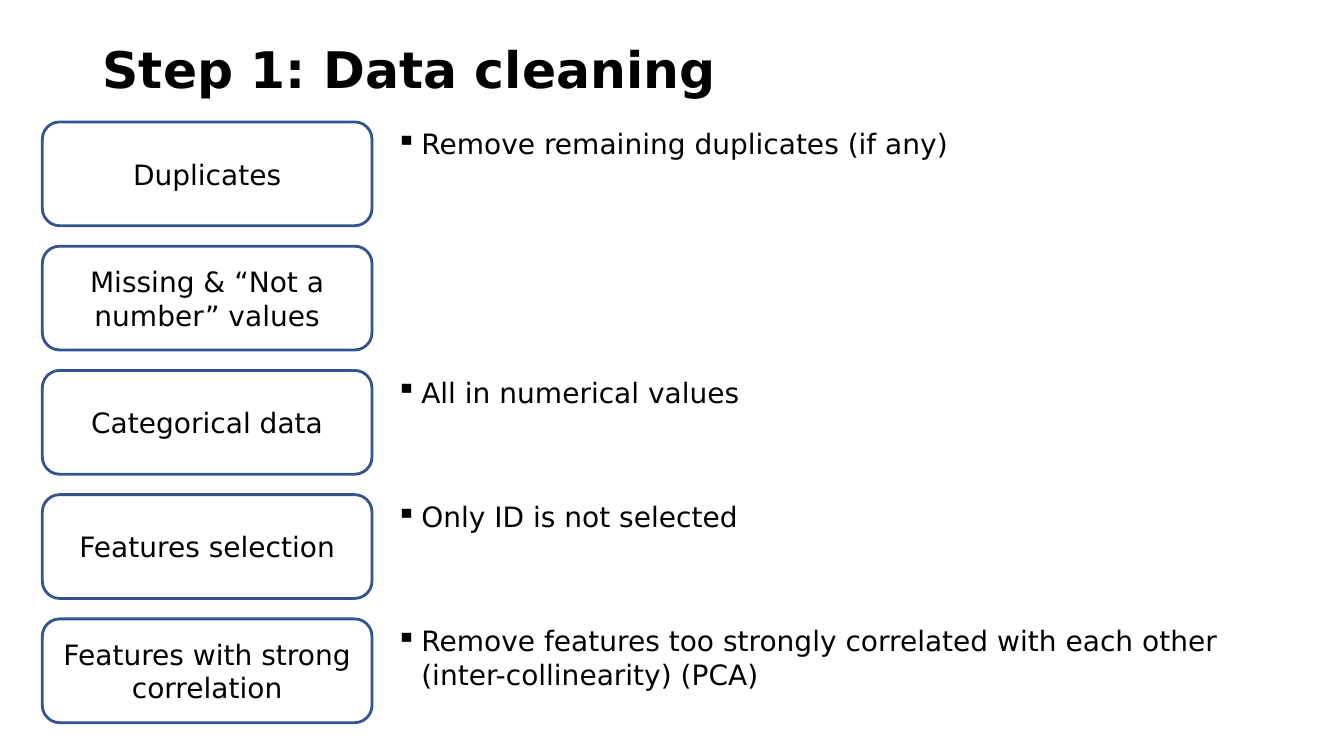
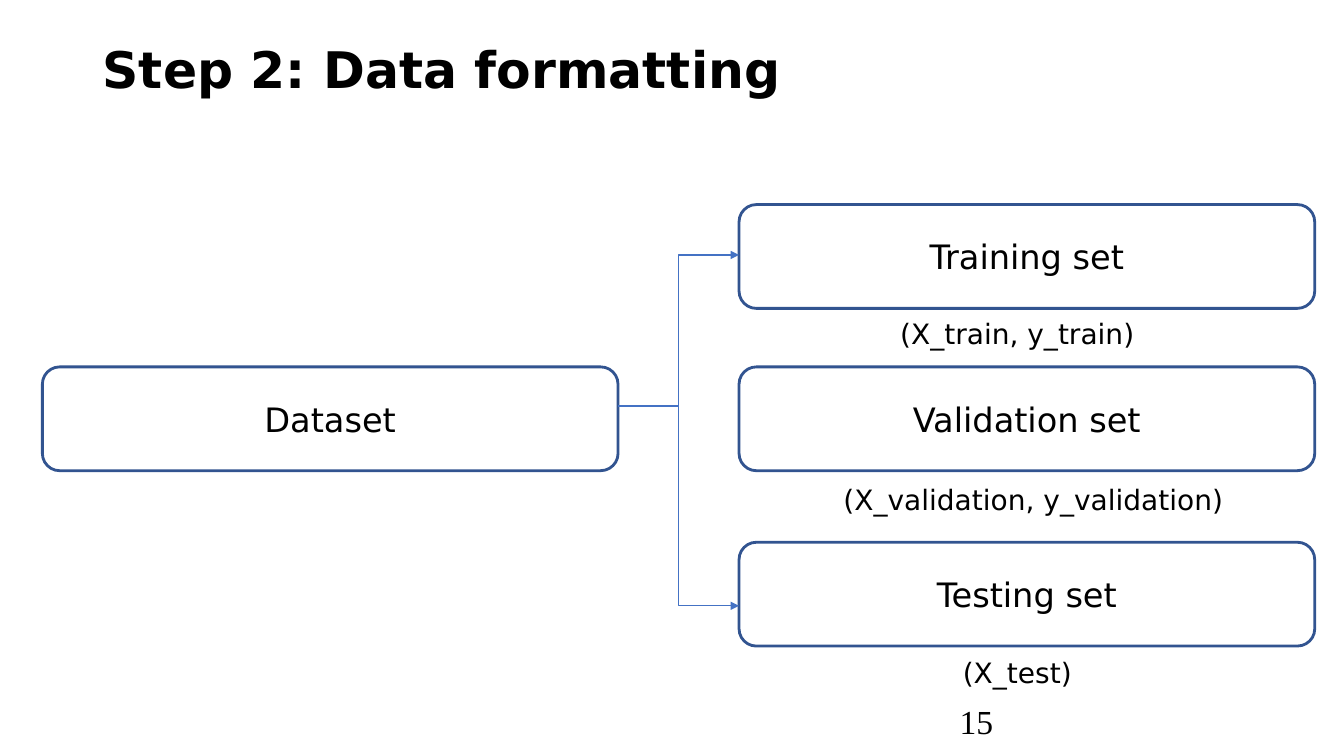
"""Build two slides on preparing data: cleaning, then formatting."""
import dataclasses

import pptx
import pptx.dml.color
import pptx.enum.shapes
import pptx.enum.text
import pptx.oxml.ns
import pptx.util
from lxml import etree

Inches = pptx.util.Inches
Pt = pptx.util.Pt
Align = pptx.enum.text.PP_ALIGN
Anchor = pptx.enum.text.MSO_ANCHOR


@dataclasses.dataclass(frozen=True)
class Theme:
    text: str = "000000"
    outline: str = "325490"
    arrow: str = "4472C4"
    font: str = "DejaVu Sans"
    number_font: str = "Times New Roman"
    title_size: int = 36
    large_size: int = 24
    body_size: int = 20
    outline_width: int = 2
    arrow_width: int = 1


def rgb(value):
    return pptx.dml.color.RGBColor.from_string(value)


def add_xml(parent, tag, **attributes):
    return etree.SubElement(parent, pptx.oxml.ns.qn(tag), attributes)


class Deck:
    def __init__(self, theme):
        self.theme = theme
        self.presentation = pptx.Presentation()
        self.presentation.slide_width = Inches(13.33)
        self.presentation.slide_height = Inches(7.5)
        self.slide = None

    def add_slide(self, title):
        layout = self.presentation.slide_layouts[6]
        self.slide = self.presentation.slides.add_slide(layout)
        heading = self.add_text(title, 0.92, 0.4, 11.5, 0.83, self.theme.title_size)
        heading.line_spacing = 0.9
        heading.runs[0].font.bold = True

    def set_text(self, frame, text, size, font=None):
        frame.word_wrap = True
        paragraph = frame.paragraphs[0]
        paragraph.text = text
        style = paragraph.runs[0].font
        style.name = font or self.theme.font
        style.size = Pt(size)
        style.color.rgb = rgb(self.theme.text)
        return paragraph

    def add_text(self, text, left, top, width, height, size, font=None, anchor=Anchor.TOP):
        frame = self.slide.shapes.add_textbox(
            Inches(left), Inches(top), Inches(width), Inches(height)).text_frame
        frame.vertical_anchor = anchor
        return self.set_text(frame, text, size, font)

    def add_box(self, label, left, top, width, height, size):
        box = self.slide.shapes.add_shape(
            pptx.enum.shapes.MSO_SHAPE.ROUNDED_RECTANGLE,
            Inches(left), Inches(top), Inches(width), Inches(height))
        box.shadow.inherit = False
        box.fill.background()
        box.line.color.rgb = rgb(self.theme.outline)
        box.line.width = Pt(self.theme.outline_width)
        box.text_frame.vertical_anchor = Anchor.MIDDLE
        self.set_text(box.text_frame, label, size).alignment = Align.CENTER

    def add_bullet(self, text, left, top, width, height):
        paragraph = self.add_text(text, left, top, width, height, self.theme.body_size)
        paragraph.space_before = Pt(10)
        properties = paragraph._p.get_or_add_pPr()
        properties.set("marL", str(Inches(0.25)))
        properties.set("indent", str(Inches(-0.25)))
        add_xml(add_xml(properties, "a:buClr"), "a:srgbClr", val=self.theme.text)
        add_xml(properties, "a:buChar", char="▪")

    def add_caption(self, text, left, top, width):
        paragraph = self.add_text(text, left, top, width, 0.72, self.theme.body_size)
        paragraph.alignment = Align.CENTER
        paragraph.line_spacing = 1.5
        paragraph.space_before = Pt(10)

    def add_elbow_arrow(self, start, end):
        arrow = self.slide.shapes.add_connector(
            pptx.enum.shapes.MSO_CONNECTOR.ELBOW, *map(Inches, start + end))
        arrow.line.color.rgb = rgb(self.theme.arrow)
        arrow.line.width = Pt(self.theme.arrow_width)
        add_xml(arrow.line._get_or_add_ln(), "a:tailEnd", type="triangle")
        add_xml(arrow._element.spPr, "a:effectLst")

    def add_page_number(self, number):
        self.add_text(number, 9.42, 6.95, 3, 0.4, self.theme.large_size,
                      self.theme.number_font, Anchor.MIDDLE)


BOX_HEIGHT = 1.03
MARGIN = 0.42


def build_cleaning(deck):
    deck.add_slide("Step 1: Data cleaning")
    checks = [
        ("Duplicates", "Remove remaining duplicates (if any)"),
        ("Missing & “Not a number” values", None),
        ("Categorical data", "All in numerical values"),
        ("Features selection", "Only ID is not selected"),
        ("Features with strong correlation",
         "Remove features too strongly correlated with each other (inter-collinearity) (PCA)"),
    ]
    first_top, last_top = 1.21, 6.14
    pitch = (last_top - first_top) / (len(checks) - 1)
    for row, (issue, action) in enumerate(checks):
        top = first_top + row * pitch
        deck.add_box(issue, MARGIN, top, 3.27, BOX_HEIGHT, deck.theme.body_size)
        if action:
            deck.add_bullet(action, 3.83, top, 8.59, BOX_HEIGHT)


def build_formatting(deck):
    deck.add_slide("Step 2: Data formatting")
    box_width, subset_left, dataset_top = 5.71, 7.33, 3.64
    size = deck.theme.large_size
    deck.add_box("Dataset", MARGIN, dataset_top, box_width, BOX_HEIGHT, size)
    subsets = [
        ("Training set", 2.03, "(X_train, y_train)", 8.59, 2.92, 3),
        ("Validation set", dataset_top, "(X_validation, y_validation)", 7.5, 4.57, 5.5),
        ("Testing set", 5.38, "(X_test)", 8.59, 6.29, 3),
    ]
    for subset, top, variables, caption_left, caption_top, caption_width in subsets:
        deck.add_box(subset, subset_left, top, box_width, BOX_HEIGHT, size)
        deck.add_caption(variables, caption_left, caption_top, caption_width)
    for arrow_end in (2.53, 6.01):
        deck.add_elbow_arrow((MARGIN + box_width, 4.03), (subset_left, arrow_end))
    deck.add_page_number("15")


def main():
    deck = Deck(Theme())
    build_cleaning(deck)
    build_formatting(deck)
    deck.presentation.save("out.pptx")


if __name__ == "__main__":
    main()
